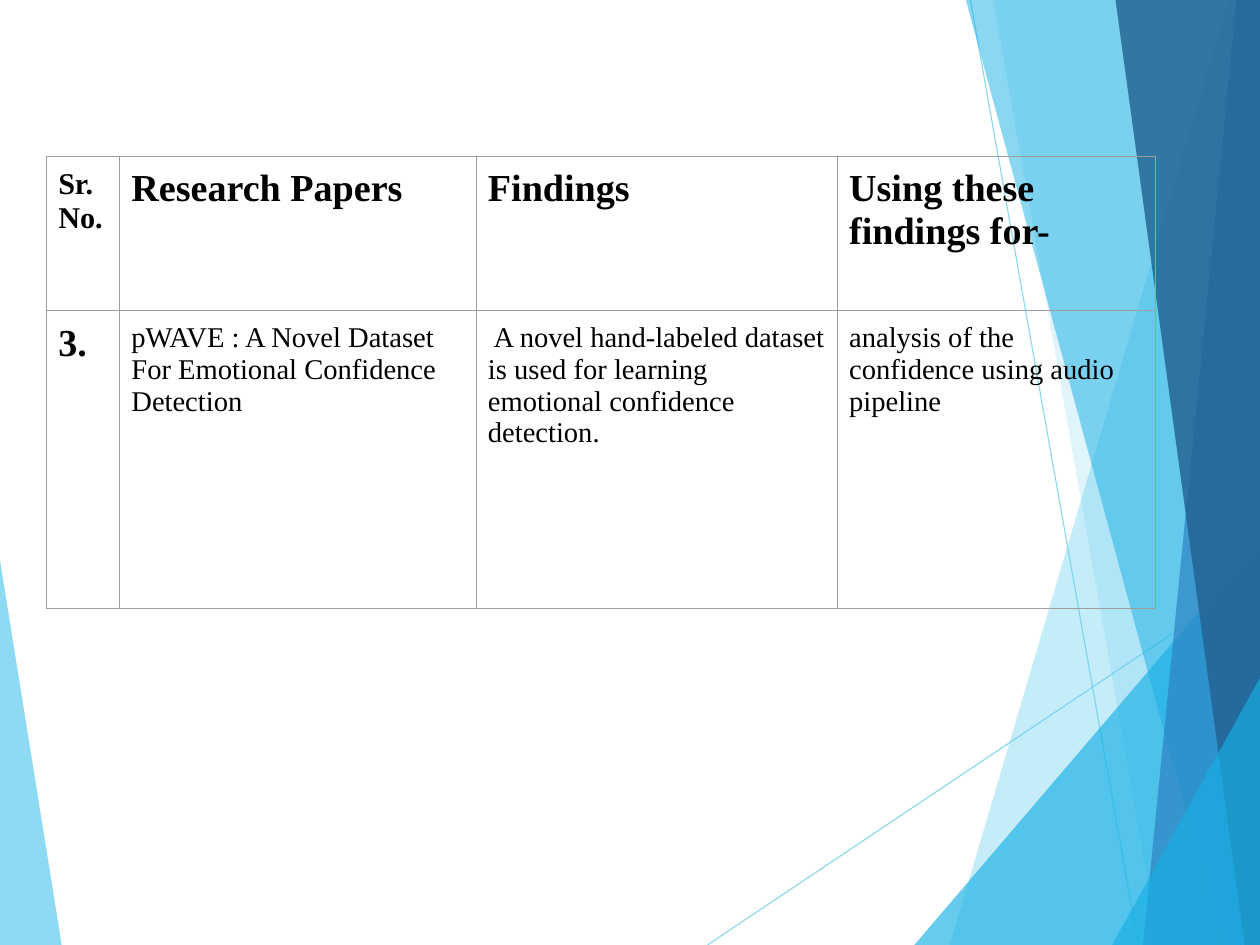
from lxml.etree import SubElement
from pptx import Presentation
from pptx.dml.color import RGBColor
from pptx.enum.shapes import MSO_CONNECTOR
from pptx.oxml.ns import qn
from pptx.util import Cm, Inches, Pt

# The page is 28 by 21 cm
page = Cm(28), Cm(21)
WIDE, HIGH = (side.inches for side in page)
SKY, CYAN, BLUE, NAVY = "5FCBEF", "17B0E4", "2E83C3", "236292"


def paint(fill, color, alpha=100):
    """Give a solid fill its colour and its opacity in percent."""
    fill.solid()
    fill.fore_color.rgb = RGBColor.from_string(color)
    if alpha < 100:
        tone = fill._xPr.find(qn("a:solidFill"))[0]
        SubElement(tone, qn("a:alpha"), val=str(alpha * 1000))


def facet(points, color, alpha):
    """Draw a closed translucent polygon without outline."""
    spots = [(Inches(x), Inches(y)) for x, y in points]
    form = slide.shapes.build_freeform(*spots[0], scale=1.0)
    form.add_line_segments(spots[1:], close=True)
    shape = form.convert_to_shape()
    shape.shadow.inherit = False
    shape.line.fill.background()
    paint(shape.fill, color, alpha)


deck = Presentation()
deck.slide_width, deck.slide_height = page
slide = deck.slides.add_slide(deck.slide_layouts[6])

# Decoration: left wedge, two thin lines, then the facets on the right
facet([(0, 4.9), (0.54, HIGH), (0, HIGH)], SKY, 70)

for x1, y1, x2, y2 in [(6.19, HIGH, WIDE, 5.03), (8.49, 0, 9.96, HIGH)]:
    ray = slide.shapes.add_connector(
        MSO_CONNECTOR.STRAIGHT, Inches(x1), Inches(y1), Inches(x2), Inches(y2))
    ray.line.width = Pt(0.75)
    paint(ray.line.fill, SKY, 70)
    SubElement(ray._element.spPr, qn("a:effectLst"))

# Each facet: foot on the bottom edge, upper corners, colour, opacity
corner = (WIDE, 0)
facets = [
    (8.31, [(10.75, 0), corner], SKY, 36),
    (10.14, [(8.69, 0), corner], SKY, 20),
    (8, [(WIDE, 4.73)], CYAN, 65),
    (10.69, [(8.45, 0), corner], CYAN, 50),
    (10, [(10.82, 0), corner], BLUE, 70),
    (10.89, [(9.76, 0), corner], NAVY, 82),
    (9.73, [(WIDE, 5.93)], CYAN, 65),
]
for foot, upper, color, alpha in facets:
    facet([(foot, HIGH), *upper, (WIDE, HIGH)], color, alpha)

# Table of research papers
rows = [
    ["Sr. No.", "Research Papers", "Findings", "Using these findings for-"],
    ["3.", "pWAVE : A Novel Dataset For Emotional Confidence Detection",
     " A novel hand-labeled dataset is used for learning emotional "
     "confidence detection.",
     "analysis of the confidence using audio pipeline"],
]
sizes = [[19, 24, 24, 24], [24, 18, 18, 18]]

table = slide.shapes.add_table(
    2, 4, Inches(0.41), Inches(1.37), Inches(9.7), Inches(3.95)).table
table.first_row = table.horz_banding = False
for col, width in zip(table.columns, [0.64, 3.12, 3.16, 2.78]):
    col.width = Inches(width)
for row, height in zip(table.rows, [1.35, 2.6]):
    row.height = Inches(height)

for r, texts in enumerate(rows):
    for c, text in enumerate(texts):
        cell = table.cell(r, c)
        cell.margin_left = cell.margin_right = Inches(0.1)
        cell.margin_top = cell.margin_bottom = Inches(0.1)
        cell.text_frame.text = text
        font = cell.text_frame.paragraphs[0].runs[0].font
        font.name = "Times New Roman"
        font.size = Pt(sizes[r][c])
        font.bold = r == 0 or c == 0
        font.color.rgb = RGBColor.from_string("000000")
        props = cell._tc.get_or_add_tcPr()
        for side in ("a:lnL", "a:lnR", "a:lnT", "a:lnB"):
            line = SubElement(props, qn(side), w=str(Pt(0.75)))
            solid = SubElement(line, qn("a:solidFill"))
            SubElement(solid, qn("a:srgbClr"), val="9E9E9E")
        cell.fill.background()

deck.save("out.pptx")
